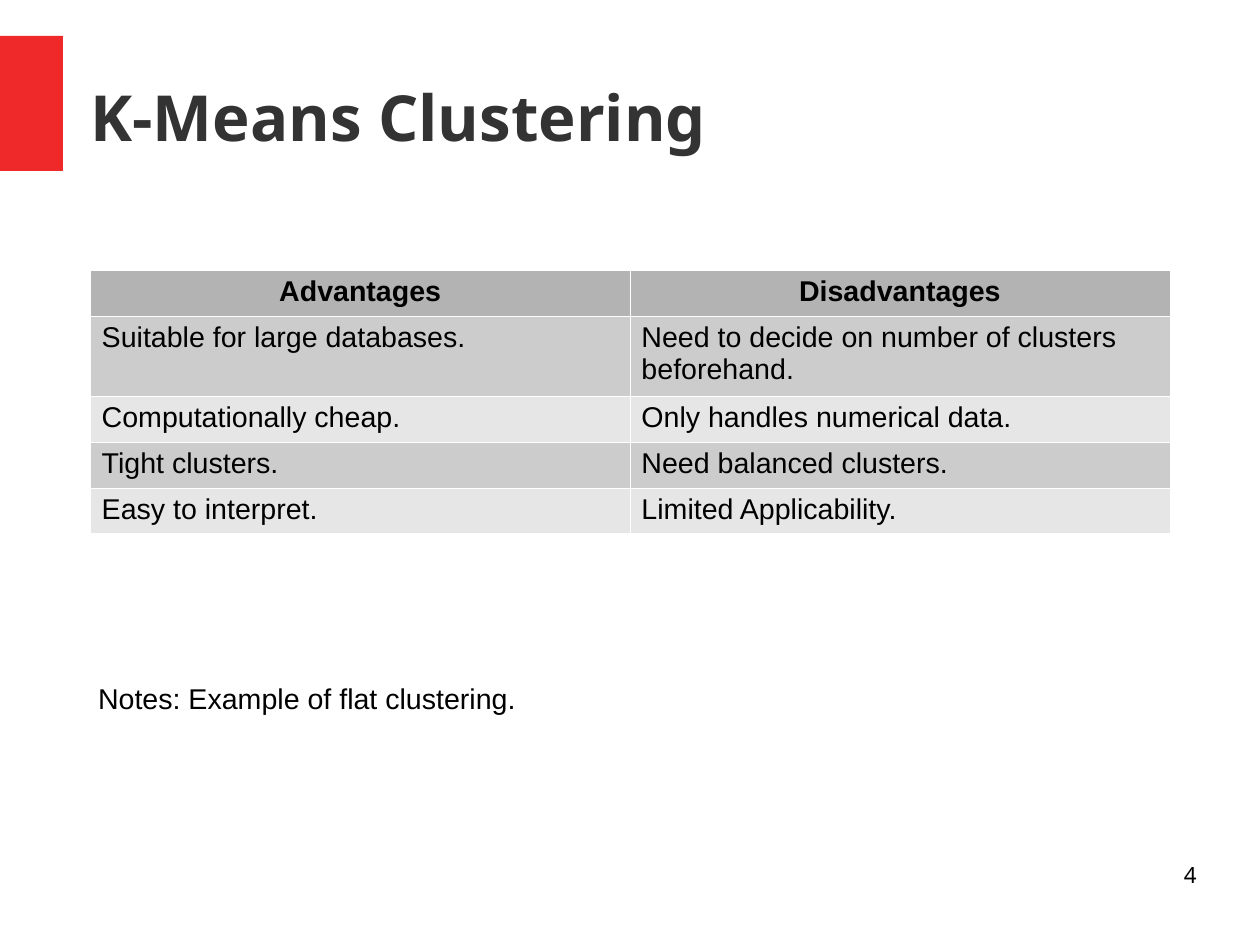
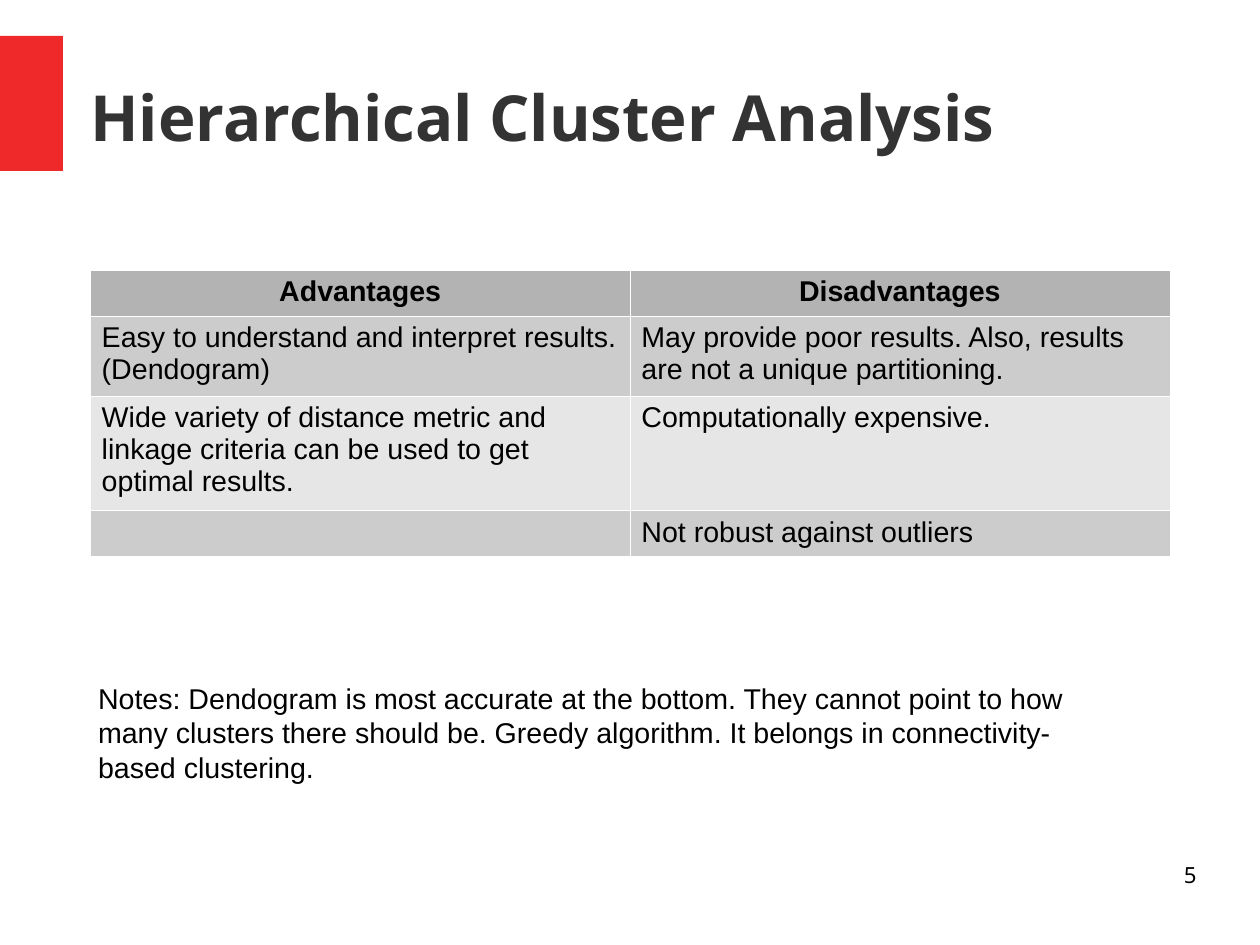
from lxml import etree
from pptx import Presentation
from pptx.dml.color import RGBColor
from pptx.enum.shapes import MSO_SHAPE as SHAPE
from pptx.enum.text import MSO_ANCHOR as ANCHOR, PP_ALIGN as ALIGN
from pptx.oxml import parse_xml
from pptx.oxml.ns import nsdecls
from pptx.util import Pt

RED, DARK, BLACK, WHITE = "EF2929", "333333", "000000", "FFFFFF"
HEADER_FILL, BAND_FILLS = "B3B3B3", ("CCCCCC", "E6E6E6")
LEFT, COL_W = 56.9, 340


def paint(target, color):
    if hasattr(target, "solid"):
        target.solid()
        target.fore_color.rgb = RGBColor.from_string(color)
    else:
        target.color.rgb = RGBColor.from_string(color)


def write(tf, text, size, font="Arial", color=BLACK, bold=False, align=ALIGN.LEFT):
    tf.text = text
    tf.word_wrap = True
    p = tf.paragraphs[0]
    p.alignment = align
    for r in p.runs:
        r.font.name, r.font.size, r.font.bold = font, Pt(size), bold
        paint(r.font, color)


slides = [
    ("K-Means Clustering", 4, [
        ("Suitable for large databases.", "Need to decide on number of clusters beforehand."),
        ("Computationally cheap.", "Only handles numerical data."),
        ("Tight clusters.", "Need balanced clusters."),
        ("Easy to interpret.", "Limited Applicability."),
    ], (28.8, 50.4, 28.8, 28.8, 28.8), "Notes: Example of flat clustering."),
    ("Hierarchical Cluster Analysis", 5, [
        ("Easy to understand and interpret results. (Dendogram)",
         "May provide poor results. Also, results are not a unique partitioning."),
        ("Wide variety of distance metric and linkage criteria can be used to get optimal results.",
         "Computationally expensive."),
        ("", "Not robust against outliers"),
    ], (28.8, 50.4, 71.8, 28.8),
     "Notes: Dendogram is most accurate at the bottom. They cannot point to how many clusters "
     "there should be. Greedy algorithm. It belongs in connectivity-based clustering."),
]

prs = Presentation()
prs.slide_width, prs.slide_height = Pt(793.7), Pt(595.3)

for title, number, body, heights, notes in slides:
    s = prs.slides.add_slide(prs.slide_layouts[6])

    band = s.shapes.add_shape(SHAPE.RECTANGLE, 0, Pt(22.6), Pt(39.7), Pt(85))
    band.shadow.inherit = False
    paint(band.fill, RED)
    band.line.fill.background()

    title_box = s.shapes.add_textbox(Pt(LEFT), Pt(23.7), Pt(697), Pt(99.4))
    number_box = s.shapes.add_textbox(Pt(568.8), Pt(542.3), Pt(185), Pt(41))
    for sp in (title_box, number_box):
        tf = sp.text_frame
        tf.margin_left = tf.margin_top = tf.margin_right = tf.margin_bottom = 0
    title_box.text_frame.vertical_anchor = ANCHOR.MIDDLE
    write(title_box.text_frame, title, 40, "Noto Sans", DARK, True)
    write(number_box.text_frame, str(number), 14, "Noto Sans", align=ALIGN.RIGHT)

    rows = [("Advantages", "Disadvantages")] + body
    table = s.shapes.add_table(len(rows), 2, Pt(LEFT), Pt(170.3),
                               Pt(2 * COL_W), Pt(sum(heights))).table
    for col in table.columns:
        col.width = Pt(COL_W)
    for i, (texts, height) in enumerate(zip(rows, heights)):
        table.rows[i].height = Pt(height)
        header = i == 0
        for j, text in enumerate(texts):
            cell = table.cell(i, j)
            write(cell.text_frame, text, 18, bold=header,
                  align=ALIGN.CENTER if header else ALIGN.LEFT)
            tc_pr = cell._tc.get_or_add_tcPr()
            for side in "LRTB":
                tc_pr.append(parse_xml(
                    f'<a:ln{side} {nsdecls("a")} w="762"><a:solidFill>'
                    f'<a:srgbClr val="{WHITE}"/></a:solidFill></a:ln{side}>'))
            paint(cell.fill, HEADER_FILL if header else BAND_FILLS[(i - 1) % 2])

    notes_box = s.shapes.add_textbox(Pt(54.7), Pt(425.5), Pt(629.3), Pt(67.7))
    write(notes_box.text_frame, notes, 18)

prs.save("out.pptx")
